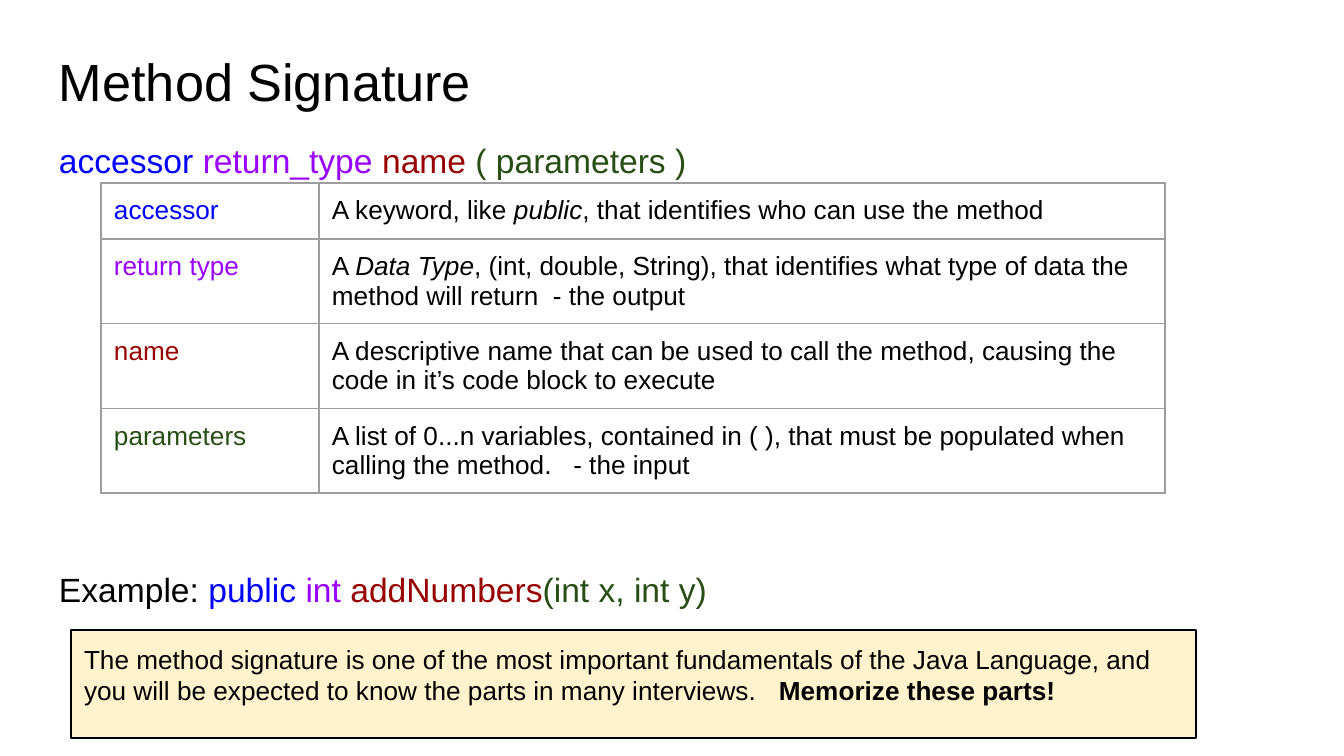
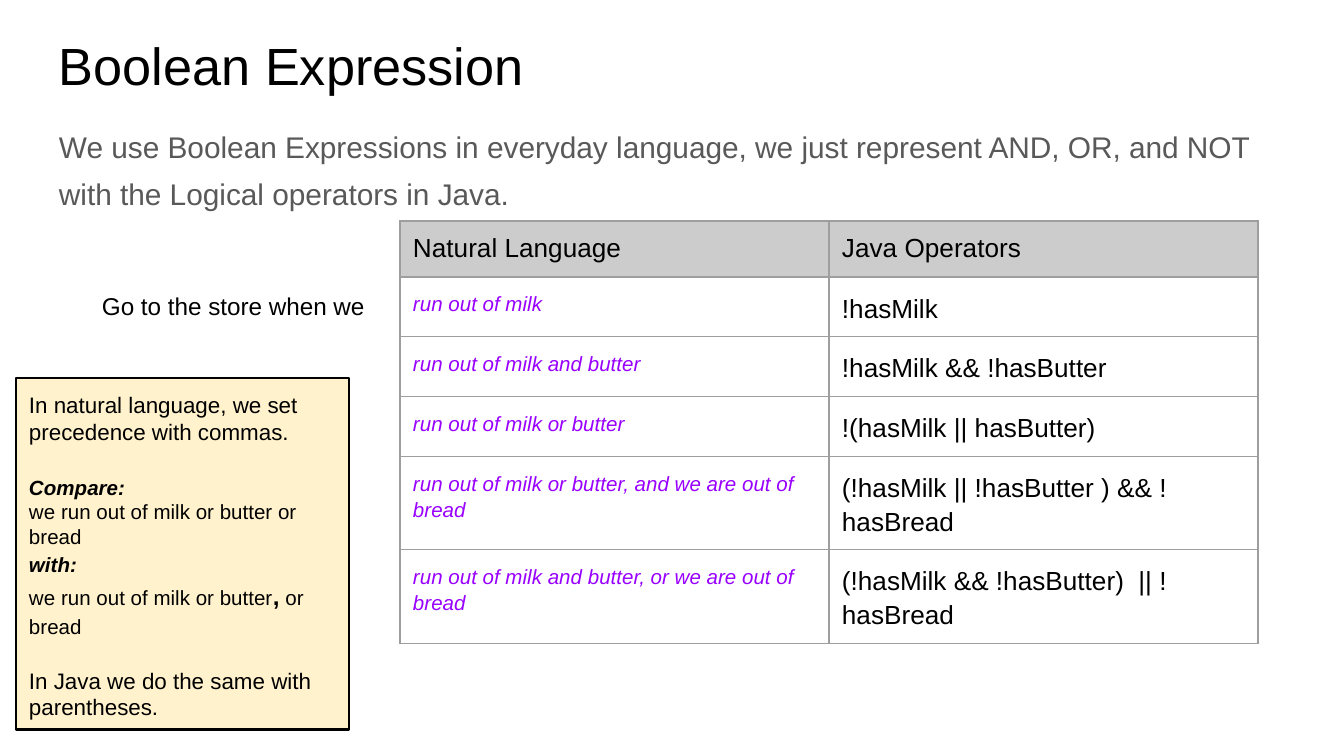
from lxml.etree import SubElement
from pptx import Presentation
from pptx.dml.color import RGBColor
from pptx.enum.shapes import MSO_SHAPE
from pptx.enum.text import MSO_ANCHOR, MSO_AUTO_SIZE, PP_ALIGN
from pptx.oxml.ns import qn
from pptx.util import Emu, Pt

# Theme: colours, type sizes and named run styles
THEME = {
    "font": "Arial",
    "title": 28, "lead": 18, "intro": 16, "cell": 14, "label": 13,
    "note": 12, "small": 11,
    "ink": "000000", "grey": "595959", "head": "CCCCCC",
    "rule": "9E9E9E", "cream": "FFF2CC",
}
STYLE = {
    "plain": {},
    "access": {"color": "0000FF"},
    "type": {"color": "9900FF"},
    "name": {"color": "980000"},
    "params": {"color": "274E13"},
    "grey": {"color": THEME["grey"]},
    "it": {"italic": True},
    "bold": {"bold": True},
    "both": {"bold": True, "italic": True},
    "comma": {"bold": True, "size": THEME["label"]},
    "note": {"size": THEME["note"]},
    "phrase": {"color": "9900FF", "italic": True, "size": THEME["small"]},
}
LOOSE = {"line_spacing": 1.15}
SCALE = 914400 / 134.4
WIDE, HIGH = 1344, 756
EDGE, SPAN, PAD, ROW = 46, 1252, 13, 56

# Content: a paragraph is (runs, format), a run is (text, style)
PARTS = [
    ([("accessor ", "access"), ("return_type ", "type"), ("name ", "name"),
      ("( parameters )", "params")], LOOSE),
    ([("Example: ", "plain"), ("public ", "access"), ("int ", "type"),
      ("addNumbers", "name"), ("(int x, int y)", "params")],
     {**LOOSE, "space_before": Pt(205)}),
]
TERMS = [
    ("accessor", "access",
     [("A keyword, like ", "plain"), ("public", "it"),
      (", that identifies who can use the method", "plain")]),
    ("return type", "type",
     [("A ", "plain"), ("Data Type", "it"),
      (", (int, double, String), that identifies what type of data the "
       "method will return  - the output", "plain")]),
    ("name", "name",
     [("A descriptive name that can be used to call the method, causing "
       "the code in it’s code block to execute", "plain")]),
    ("parameters", "params",
     [("A list of 0...n variables, contained in ( ), that must be populated "
       "when calling the method.   - the input", "plain")]),
]
ADVICE = [
    ([("The method signature is one of the most important fundamentals of "
       "the Java Language, and you will be expected to know the parts in "
       "many interviews.   ", "plain"),
      ("Memorize these parts!", "bold")], {}),
]
INTRO = [
    ([("We use Boolean Expressions in everyday language, we just represent "
       "AND, OR, and NOT with the Logical operators in Java.", "grey")],
     {"line_spacing": 1.3}),
]
HEADS = ["Natural Language", "Java Operators"]
RULES = [
    ("run out of milk", "!hasMilk"),
    ("run out of milk and butter", "!hasMilk && !hasButter"),
    ("run out of milk or butter", "!(hasMilk || hasButter)"),
    ("run out of milk or butter, and we are out of bread",
     "(!hasMilk || !hasButter ) && !hasBread"),
    ("run out of milk and butter, or we are out of bread",
     "(!hasMilk && !hasButter)  || !hasBread"),
]
LABEL = [([("Go to the store when we", "plain")], LOOSE)]
COMPARE = [
    ([("In natural language, we set precedence with commas.", "note")], {}),
    ([("Compare:", "both")], {"space_before": Pt(16)}),
    ([("we run out of milk or butter or bread", "plain")], {}),
    ([("with:", "both")], LOOSE),
    ([("we run out of milk or butter", "plain"), (",", "comma"),
      (" or bread", "plain")], LOOSE),
    ([("In Java we do the same with parentheses.", "note")],
     {"space_before": Pt(15)}),
]


def px(*nums):
    return [Emu(round(n * SCALE)) for n in nums]


def put(obj, vals):
    for key, val in vals.items():
        setattr(obj, key, val)


def write(frame, paras, size):
    """Fill a text frame with styled paragraphs."""
    for i, (runs, form) in enumerate(paras):
        para = frame.add_paragraph() if i else frame.paragraphs[0]
        put(para, {"alignment": PP_ALIGN.LEFT, "line_spacing": 1.0,
                   "space_before": Pt(0), "space_after": Pt(0), **form})
        for text, style in runs:
            run = para.add_run()
            run.text = text
            look = {"color": THEME["ink"], "size": size, "bold": False,
                    "italic": False, **STYLE[style]}
            run.font.color.rgb = RGBColor.from_string(look.pop("color"))
            put(run.font, {**look, "name": THEME["font"],
                           "size": Pt(look["size"])})


def fill(shape, at, paras, size):
    """Place a shape and set its text."""
    put(shape, dict(zip(("left", "top", "width", "height"), px(*at))))
    frame, pad = shape.text_frame, px(PAD)[0]
    put(frame, {"word_wrap": True, "auto_size": MSO_AUTO_SIZE.NONE,
                "vertical_anchor": MSO_ANCHOR.TOP,
                "margin_left": pad, "margin_right": pad,
                "margin_top": pad, "margin_bottom": pad})
    write(frame, paras, size)


def start(deck, title, top, body, tall, size):
    """Add a slide with its title and body placeholders."""
    slide = deck.slides.add_slide(deck.slide_layouts[1])
    fill(slide.shapes.title, (EDGE, top, SPAN, 85),
         [([(title, "plain")], {})], THEME["title"])
    text = slide.placeholders[1]
    fill(text, (EDGE, top + 85, SPAN, tall), body, size)
    for para in text.text_frame.paragraphs:
        prop = para._p.get_or_add_pPr()
        prop.set("marL", "0")
        prop.set("indent", "0")
        SubElement(prop, qn("a:buNone"))
    return slide


def note(slide, at, paras, size):
    """Add a cream box with a black outline."""
    box = slide.shapes.add_shape(MSO_SHAPE.RECTANGLE, *px(*at))
    box.shadow.inherit = False
    box.fill.solid()
    box.fill.fore_color.rgb = RGBColor.from_string(THEME["cream"])
    box.line.color.rgb = RGBColor.from_string(THEME["ink"])
    box.line.width = Pt(1.5)
    fill(box, at, paras, size)


def border(cell):
    """Draw thin grey lines on all four sides of a cell."""
    prop = cell._tc.get_or_add_tcPr()
    for side in ("lnL", "lnR", "lnT", "lnB"):
        line = SubElement(prop, qn("a:" + side), w=str(Pt(0.75)))
        SubElement(SubElement(line, qn("a:solidFill")), qn("a:srgbClr"),
                   val=THEME["rule"])


def grid(slide, left, top, cols, rows, head=False):
    """Add a table; rows hold one paragraph per cell."""
    table = slide.shapes.add_table(
        len(rows), len(cols),
        *px(left, top, sum(cols), ROW * len(rows))).table
    put(table, {"first_row": False, "horz_banding": False})
    for col, wide in zip(table.columns, px(*cols)):
        col.width = wide
    pad = px(PAD)[0]
    for r, row in enumerate(rows):
        for c, para in enumerate(row):
            cell = table.cell(r, c)
            put(cell, {"margin_left": pad, "margin_right": pad,
                       "margin_top": pad, "margin_bottom": pad})
            border(cell)
            if head and r == 0:
                cell.fill.solid()
                cell.fill.fore_color.rgb = RGBColor.from_string(THEME["head"])
            else:
                cell.fill.background()
            write(cell.text_frame, [para], THEME["cell"])


def method(deck):
    slide = start(deck, "Method Signature", 36, PARTS, 495, THEME["lead"])
    rows = [[([(term, style)], {}), (text, {})] for term, style, text in TERMS]
    grid(slide, 101, 183, (218, 846), rows)
    note(slide, (71, 630, 1125, 108), ADVICE, THEME["cell"])


def logic(deck):
    slide = start(deck, "Boolean Expression", 20, INTRO, 124, THEME["intro"])
    rows = [[([(text, "plain")], {}) for text in HEADS]]
    rows += [[([(say, "phrase")], LOOSE), ([(code, "plain")], LOOSE)]
             for say, code in RULES]
    grid(slide, 400, 221, (429, 429), rows, head=True)
    at = (89, 274, 292, 40)
    fill(slide.shapes.add_textbox(*px(*at)), at, LABEL, THEME["label"])
    note(slide, (16, 378, 333, 352), COMPARE, THEME["small"])


def main():
    deck = Presentation()
    put(deck, dict(zip(("slide_width", "slide_height"), px(WIDE, HIGH))))
    method(deck)
    logic(deck)
    deck.save("out.pptx")


if __name__ == "__main__":
    main()
